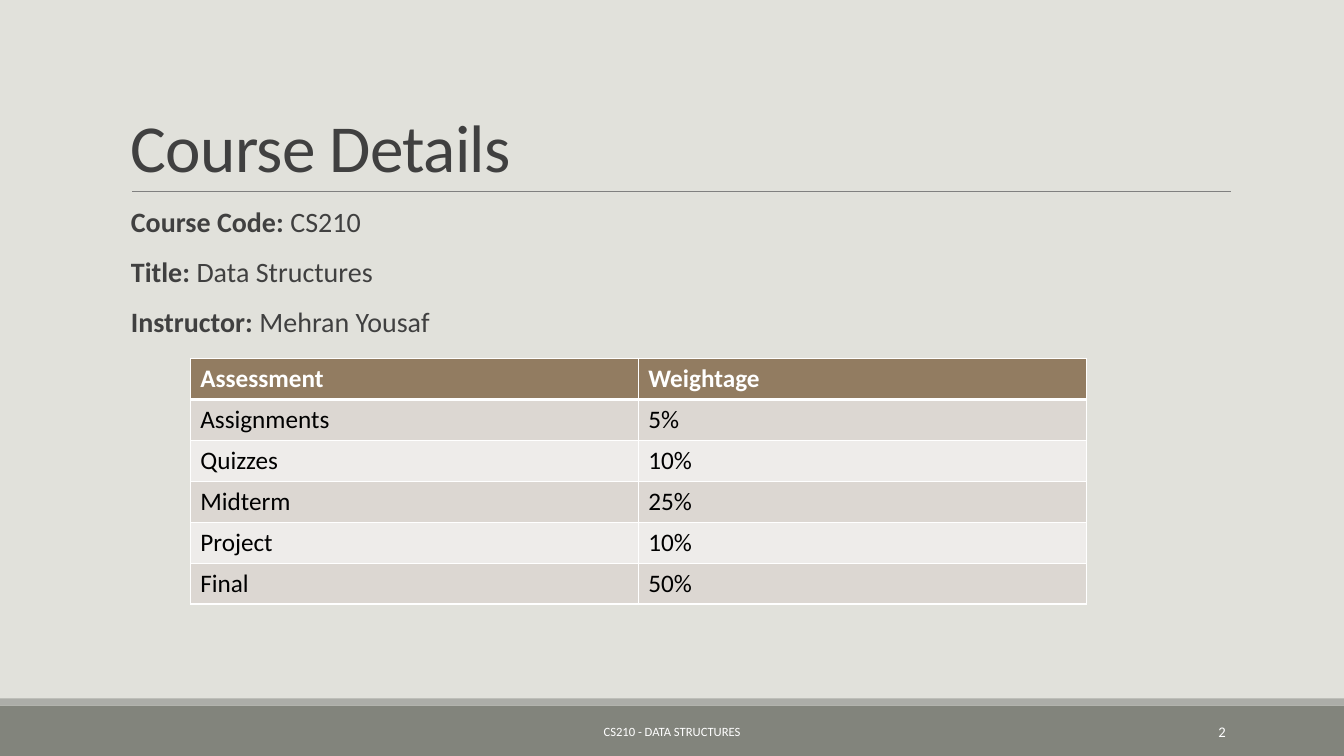
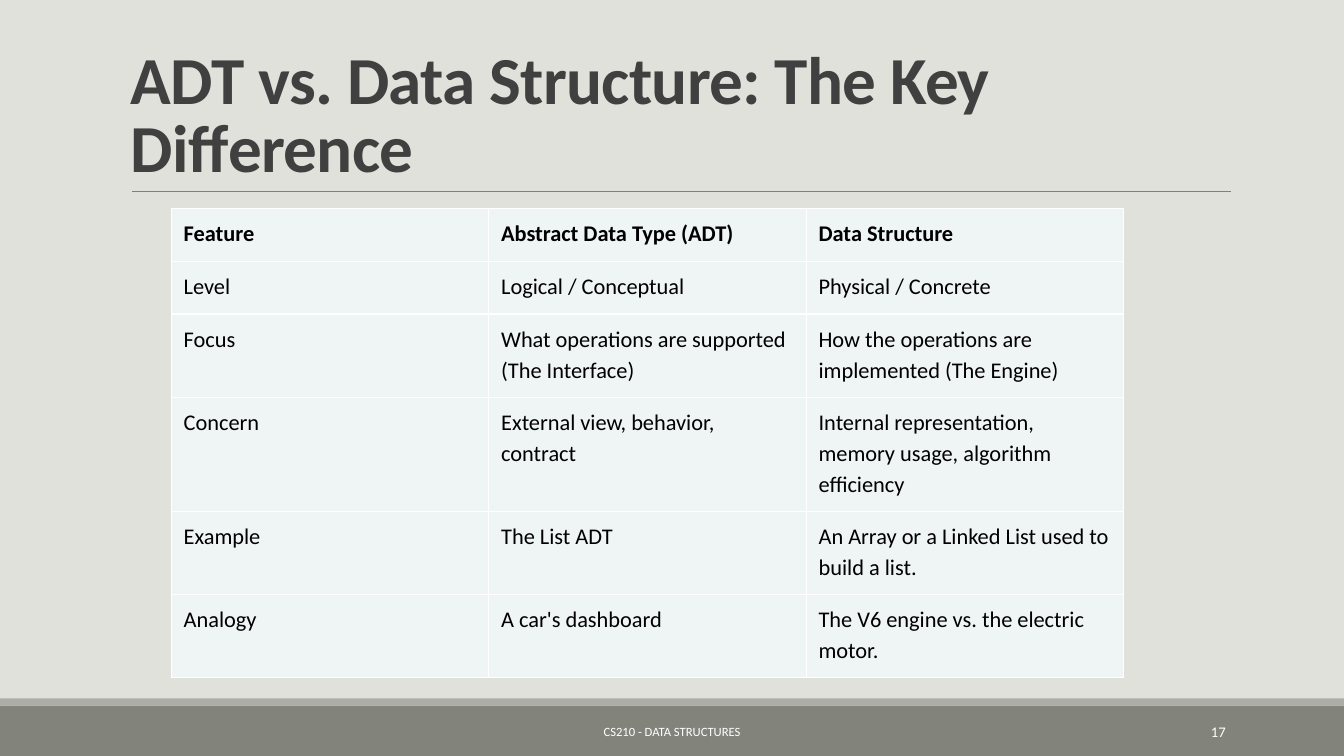
from dataclasses import dataclass

from lxml import etree
from pptx import Presentation
from pptx import util as u
from pptx.dml.color import RGBColor
from pptx.enum import shapes, text
from pptx.oxml import ns

FONT = "Calibri"
PAGE = RGBColor(0xE1, 0xE1, 0xDB)
BAND = RGBColor(0x82, 0x84, 0x7C)
STRIPE = RGBColor(0xAC, 0xAD, 0xA8)
RULE = RGBColor(0x80, 0x80, 0x80)
INK = RGBColor(0x40, 0x40, 0x40)
BLACK = RGBColor(0, 0, 0)
WHITE = RGBColor(0xFF, 0xFF, 0xFF)
BROWN = RGBColor(0x92, 0x7C, 0x61)
DARK_ROW = RGBColor(0xDC, 0xD7, 0xD2)
LIGHT_ROW = RGBColor(0xEE, 0xEC, 0xEA)
PALE = RGBColor(0xEF, 0xF4, 0xF4)

WIDTH, HEIGHT = 33.87, 19.05
BAND_TOP, STRIPE_TOP = 17.78, 17.6


@dataclass(frozen=True)
class Box:
    left: float
    top: float
    width: float
    height: float

    def lengths(self) -> tuple:
        return tuple(u.Cm(n) for n in (self.left, self.top, self.width, self.height))


@dataclass(frozen=True)
class Style:
    size: float
    color: RGBColor
    bold: bool = False
    tracking: int = 0


@dataclass(frozen=True)
class Grid:
    left: float
    top: float
    column_width: float
    row_heights: tuple
    rows: tuple
    size: float
    header_color: RGBColor
    header_fill: RGBColor
    body_fills: tuple
    header_border: float = 1
    margins: tuple = (0.25, 0.13)
    line_spacing: float = 1.0


TITLE_BOX = Box(3.05, 0.79, 27.94, 4.04)
DETAILS_BOX = Box(3.3, 5.13, 27.69, 11.18)
FOOTER_BOX = Box(10.24, 17.93, 13.39, 1.02)
NUMBER_BOX = Box(27.51, 17.93, 3.63, 1.02)

DETAILS = (
    ("Course Code:", " CS210"),
    ("Title: ", "Data Structures"),
    ("Instructor: ", "Mehran Yousaf"),
)

ASSESSMENT = Grid(
    left=4.8, top=9.04, column_width=11.29, row_heights=(1.03,) * 6, size=18,
    rows=(
        ("Assessment", "Weightage"),
        ("Assignments", "5%"),
        ("Quizzes", "10%"),
        ("Midterm", "25%"),
        ("Project", "10%"),
        ("Final", "50%"),
    ),
    header_color=WHITE, header_fill=BROWN, body_fills=(DARK_ROW, LIGHT_ROW),
    header_border=3,
)

COMPARISON = Grid(
    left=4.32, top=5.25, column_width=8, size=16,
    row_heights=tuple(0.56 + 0.77 * lines for lines in (1, 1, 2, 3, 2, 2)),
    rows=(
        ("Feature", "Abstract Data Type (ADT)", "Data Structure"),
        ("Level", "Logical / Conceptual", "Physical / Concrete"),
        ("Focus", "What operations are supported (The Interface)",
         "How the operations are implemented (The Engine)"),
        ("Concern", "External view, behavior, contract",
         "Internal representation, memory usage, algorithm efficiency"),
        ("Example", "The List ADT", "An Array or a Linked List used to build a list."),
        ("Analogy", "A car's dashboard", "The V6 engine vs. the electric motor."),
    ),
    header_color=BLACK, header_fill=PALE, body_fills=(PALE,),
    margins=(0.31, 0.2), line_spacing=1.14,
)


def add_run(paragraph, words: str, style: Style) -> None:
    run = paragraph.add_run()
    run.text = words
    run.font.name = FONT
    run.font.size = u.Pt(style.size)
    run.font.bold = style.bold
    run.font.color.rgb = style.color
    if style.tracking:
        run._r.get_or_add_rPr().set("spc", str(style.tracking))


def add_text_frame(slide, box: Box, anchor):
    frame = slide.shapes.add_textbox(*box.lengths()).text_frame
    frame.word_wrap = True
    frame.vertical_anchor = anchor
    return frame


def add_label(slide, box: Box, words: str, style: Style, anchor, alignment,
              line_spacing: float = 1.0) -> None:
    paragraph = add_text_frame(slide, box, anchor).paragraphs[0]
    paragraph.alignment = alignment
    paragraph.line_spacing = line_spacing
    add_run(paragraph, words, style)


def add_band(slide, top: float, bottom: float, color: RGBColor) -> None:
    box = Box(0, top, WIDTH, bottom - top)
    shape = slide.shapes.add_shape(shapes.MSO_SHAPE.RECTANGLE, *box.lengths())
    shape.shadow.inherit = False
    shape.fill.solid()
    shape.fill.fore_color.rgb = color
    shape.line.fill.background()


def add_title_rule(slide) -> None:
    connector = slide.shapes.add_connector(
        shapes.MSO_CONNECTOR.STRAIGHT, u.Cm(3.33), u.Cm(4.82), u.Cm(31.01), u.Cm(4.82))
    connector.line.color.rgb = RULE
    connector.line.width = u.Pt(0.5)
    etree.SubElement(connector._element.spPr, ns.qn("a:effectLst"))


def add_page(presentation, title: str, number: int, bold: bool = False):
    slide = presentation.slides.add_slide(presentation.slide_layouts[6])
    slide.background.fill.solid()
    slide.background.fill.fore_color.rgb = PAGE
    add_band(slide, BAND_TOP, HEIGHT, BAND)
    add_band(slide, STRIPE_TOP, BAND_TOP, STRIPE)
    add_title_rule(slide)
    align, anchor = text.PP_ALIGN, text.MSO_ANCHOR
    add_label(slide, TITLE_BOX, title, Style(48, INK, bold, -50),
              anchor.BOTTOM, align.LEFT, 0.85)
    add_label(slide, FOOTER_BOX, "CS210 - DATA STRUCTURES", Style(9, WHITE),
              anchor.MIDDLE, align.CENTER)
    add_label(slide, NUMBER_BOX, str(number), Style(10.5, WHITE),
              anchor.MIDDLE, align.RIGHT)
    return slide


def add_details(slide) -> None:
    frame = add_text_frame(slide, DETAILS_BOX, text.MSO_ANCHOR.TOP)
    frame.margin_left = frame.margin_right = 0
    for index, (name, value) in enumerate(DETAILS):
        paragraph = frame.add_paragraph() if index else frame.paragraphs[0]
        paragraph.line_spacing = 0.9
        paragraph.space_before = u.Pt(12 if index else 0)
        paragraph.space_after = u.Pt(2)
        add_run(paragraph, name, Style(20, INK, True))
        add_run(paragraph, value, Style(20, INK))


def set_borders(cell, top: float, bottom: float) -> None:
    properties = cell._tc.get_or_add_tcPr()
    for side, width in (("L", 1), ("R", 1), ("T", top), ("B", bottom)):
        line = etree.SubElement(properties, ns.qn(f"a:ln{side}"), w=str(u.Pt(width)))
        fill = etree.SubElement(line, ns.qn("a:solidFill"))
        etree.SubElement(fill, ns.qn("a:srgbClr"), val=str(WHITE))


def fill_cell(cell, words: str, row: int, grid: Grid) -> None:
    header = row == 0
    set_borders(cell, grid.header_border if row == 1 else 1,
                grid.header_border if header else 1)
    cell.fill.solid()
    cell.fill.fore_color.rgb = (
        grid.header_fill if header
        else grid.body_fills[(row - 1) % len(grid.body_fills)])
    side, end = grid.margins
    cell.margin_left = cell.margin_right = u.Cm(side)
    cell.margin_top = cell.margin_bottom = u.Cm(end)
    paragraph = cell.text_frame.paragraphs[0]
    paragraph.line_spacing = grid.line_spacing
    add_run(paragraph, words,
            Style(grid.size, grid.header_color if header else BLACK, header))


def add_grid(slide, grid: Grid) -> None:
    columns = len(grid.rows[0])
    box = Box(grid.left, grid.top, columns * grid.column_width, sum(grid.row_heights))
    table = slide.shapes.add_table(len(grid.rows), columns, *box.lengths()).table
    table.first_row = table.horz_banding = False
    for column in table.columns:
        column.width = u.Cm(grid.column_width)
    for row, (height, values) in enumerate(zip(grid.row_heights, grid.rows)):
        table.rows[row].height = u.Cm(height)
        for column, words in enumerate(values):
            fill_cell(table.cell(row, column), words, row, grid)


def main() -> None:
    presentation = Presentation()
    presentation.slide_width = u.Cm(WIDTH)
    presentation.slide_height = u.Cm(HEIGHT)

    slide = add_page(presentation, "Course Details", 2)
    add_details(slide)
    add_grid(slide, ASSESSMENT)

    slide = add_page(presentation, "ADT vs. Data Structure: The Key Difference", 17, True)
    add_grid(slide, COMPARISON)

    presentation.save("out.pptx")


if __name__ == "__main__":
    main()
